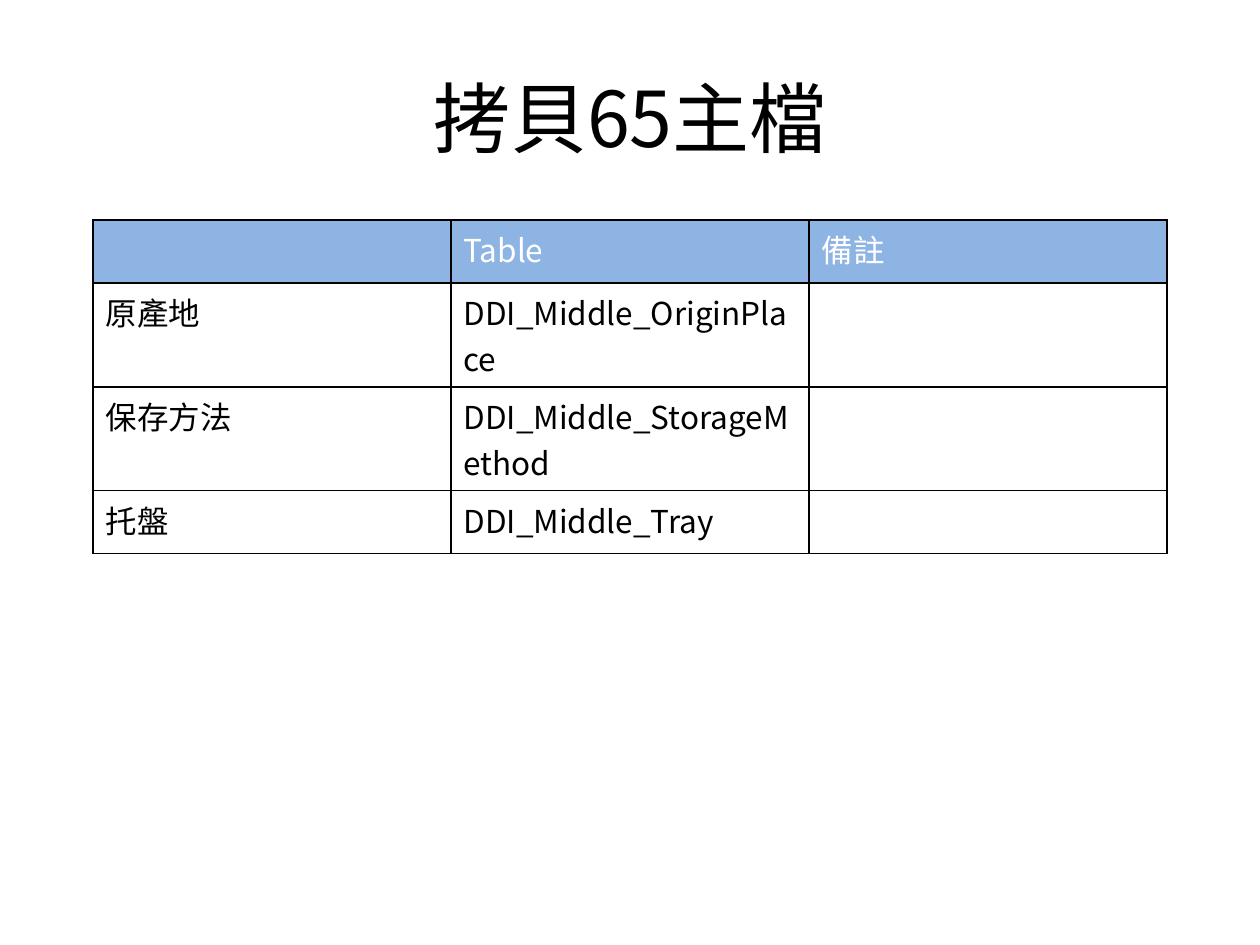
"""Build the slide that lists the middle tables for master file 65."""
from dataclasses import dataclass

from lxml.etree import SubElement
from pptx import Presentation
from pptx.dml.color import RGBColor as Rgb
from pptx.enum.text import MSO_ANCHOR as Anchor, PP_ALIGN as Align
from pptx.oxml.ns import qn
from pptx.util import Pt

PX = 914400 // 126


@dataclass(frozen=True)
class Theme:
    font: str = "Noto Sans CJK SC"
    ink: str = "000000"
    header_ink: str = "FFFFFF"
    header_fill: str = "8EB4E3"
    title_size: int = 44
    cell_size: int = 18
    border_width: int = 1


THEME = Theme()
HEADING = "拷貝65主檔"
ROWS = (
    ("", "Table", "備註"),
    ("原產地", "DDI_Middle_OriginPlace", ""),
    ("保存方法", "DDI_Middle_StorageMethod", ""),
    ("托盤", "DDI_Middle_Tray", ""),
)


def px(*lengths):
    return [length * PX for length in lengths]


def style_text(paragraph, size, color):
    font = paragraph.font
    font.name, font.size, font.bold = THEME.font, Pt(size), False
    font.color.rgb = Rgb.from_string(color)
    east_asian = SubElement(paragraph._p.pPr.find(qn("a:defRPr")), qn("a:ea"))
    east_asian.set("typeface", THEME.font)


def add_borders(cell):
    properties = cell._tc.get_or_add_tcPr()
    for position, side in enumerate(("lnL", "lnR", "lnT", "lnB")):
        border = properties.makeelement(qn(f"a:{side}"), {"w": str(Pt(THEME.border_width))})
        color = SubElement(SubElement(border, qn("a:solidFill")), qn("a:srgbClr"))
        color.set("val", THEME.ink)
        properties.insert(position, border)


def fill_cell(cell, wording, is_header):
    cell.text = wording
    style_text(cell.text_frame.paragraphs[0], THEME.cell_size,
               THEME.header_ink if is_header else THEME.ink)
    if is_header:
        cell.fill.solid()
        cell.fill.fore_color.rgb = Rgb.from_string(THEME.header_fill)
    else:
        cell.fill.background()
    add_borders(cell)


def set_title(slide, wording):
    title = slide.shapes.title
    title.left, title.top, title.width, title.height = px(63, 38, 1134, 157)
    title.text_frame.text = wording
    title.text_frame.vertical_anchor = Anchor.MIDDLE
    heading = title.text_frame.paragraphs[0]
    heading.alignment = Align.CENTER
    style_text(heading, THEME.title_size, THEME.ink)


def add_listing(slide, rows):
    frame = slide.shapes.add_table(len(rows), len(rows[0]), *px(93, 220, 1074, 63 * len(rows)))
    listing = frame.table
    listing.horz_banding = False
    for row_index, row in enumerate(rows):
        for column_index, wording in enumerate(row):
            fill_cell(listing.cell(row_index, column_index), wording, row_index == 0)


def main():
    deck = Presentation()
    deck.slide_width, deck.slide_height = px(1260, 945)
    slide = deck.slides.add_slide(deck.slide_layouts[5])
    set_title(slide, HEADING)
    add_listing(slide, ROWS)
    deck.save("out.pptx")


main()
